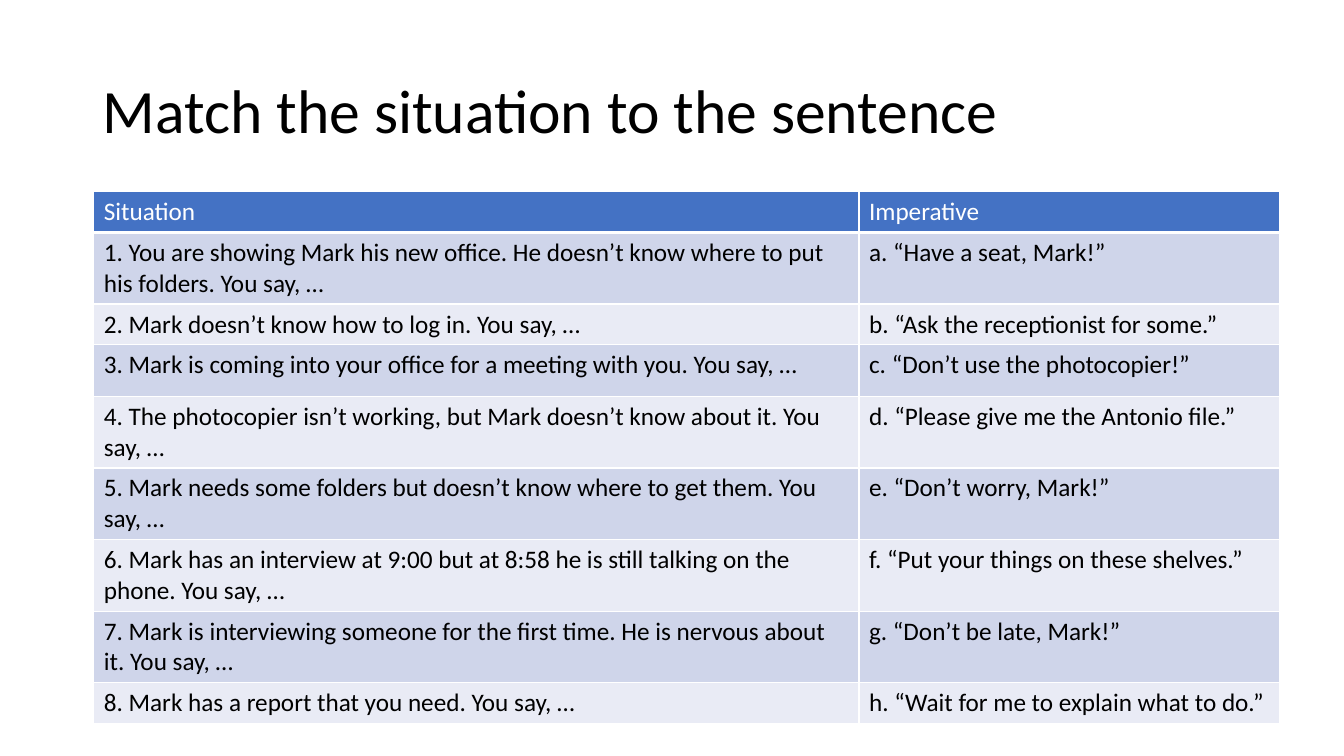
from dataclasses import dataclass

from lxml.etree import SubElement
from pptx import Presentation
from pptx.dml.color import RGBColor
from pptx.enum.text import MSO_ANCHOR, PP_ALIGN
from pptx.oxml.ns import qn
from pptx.util import Inches, Pt


@dataclass(frozen=True)
class Theme:
    font: str = "Calibri"
    title_size: int = 44
    table_size: int = 18
    text: str = "000000"
    light: str = "FFFFFF"
    header: str = "4472C4"
    bands: tuple = ("CFD5EA", "E9EBF5")
    border: int = 1
    header_border: int = 3


HEADINGS = ("Situation", "Imperative")
MATCHES = [
    ("1. You are showing Mark his new office. He doesn’t know where to put his folders. You say, …",
     "a. “Have a seat, Mark!”"),
    ("2. Mark doesn’t know how to log in. You say, …",
     "b. “Ask the receptionist for some.”"),
    ("3. Mark is coming into your office for a meeting with you. You say, …",
     "c. “Don’t use the photocopier!”"),
    ("4. The photocopier isn’t working, but Mark doesn’t know about it. You say, …",
     "d. “Please give me the Antonio file.”"),
    ("5. Mark needs some folders but doesn’t know where to get them. You say, …",
     "e. “Don’t worry, Mark!”"),
    ("6. Mark has an interview at 9:00 but at 8:58 he is still talking on the phone. You say, …",
     "f. “Put your things on these shelves.”"),
    ("7. Mark is interviewing someone for the first time. He is nervous about it. You say, …",
     "g. “Don’t be late, Mark!”"),
    ("8. Mark has a report that you need. You say, …",
     "h. “Wait for me to explain what to do.”"),
]
COLUMN_WIDTHS = (7.59, 4.17)
ROW_HEIGHTS = (0.38, 0.66, 0.38, 0.51, 0.66, 0.66, 0.66, 0.66, 0.38)


class SlideBuilder:
    def __init__(self, slide, theme):
        self.slide = slide
        self.theme = theme

    def add_run(self, paragraph, text, size, color):
        run = paragraph.add_run()
        run.text = text
        run.font.name = self.theme.font
        run.font.size = Pt(size)
        run.font.bold = False
        run.font.color.rgb = RGBColor.from_string(color)

    def title(self, text, left, top, width, height):
        shape = self.slide.shapes.title
        shape.left, shape.top = Inches(left), Inches(top)
        shape.width, shape.height = Inches(width), Inches(height)
        shape.text_frame.vertical_anchor = MSO_ANCHOR.MIDDLE
        paragraph = shape.text_frame.paragraphs[0]
        paragraph.alignment = PP_ALIGN.LEFT
        paragraph.line_spacing = 0.9
        self.add_run(paragraph, text, self.theme.title_size, self.theme.text)

    def borders(self, cell, bottom):
        properties = cell._tc.get_or_add_tcPr()
        for side in "LRTB":
            width = bottom if side == "B" else self.theme.border
            line = SubElement(properties, qn(f"a:ln{side}"), w=str(Pt(width)))
            fill = SubElement(line, qn("a:solidFill"))
            SubElement(fill, qn("a:srgbClr"), val=self.theme.light)

    def cell(self, cell, text, fill, color, bottom):
        self.borders(cell, bottom)
        cell.fill.solid()
        cell.fill.fore_color.rgb = RGBColor.from_string(fill)
        paragraph = cell.text_frame.paragraphs[0]
        self.add_run(paragraph, text, self.theme.table_size, color)

    def table(self, rows, left, top, column_widths, row_heights):
        theme = self.theme
        table = self.slide.shapes.add_table(
            len(rows), len(column_widths), Inches(left), Inches(top),
            Inches(sum(column_widths)), Inches(sum(row_heights))).table
        for column, width in zip(table.columns, column_widths):
            column.width = Inches(width)
        for index, (row, height) in enumerate(zip(table.rows, row_heights)):
            row.height = Inches(height)
            if index == 0:
                style = theme.header, theme.light, theme.header_border
            else:
                style = theme.bands[(index - 1) % 2], theme.text, theme.border
            for cell, text in zip(row.cells, rows[index]):
                self.cell(cell, text, *style)


def main():
    presentation = Presentation()
    presentation.slide_width = Inches(13.33)
    presentation.slide_height = Inches(7.5)
    slide = presentation.slides.add_slide(presentation.slide_layouts[5])
    builder = SlideBuilder(slide, Theme())

    # Heading
    builder.title("Match the situation to the sentence", 0.92, 0.4, 11.5, 1.45)

    # Situations beside the imperatives to match
    builder.table([HEADINGS, *MATCHES], 0.93, 1.9, COLUMN_WIDTHS, ROW_HEIGHTS)

    presentation.save("out.pptx")


if __name__ == "__main__":
    main()
